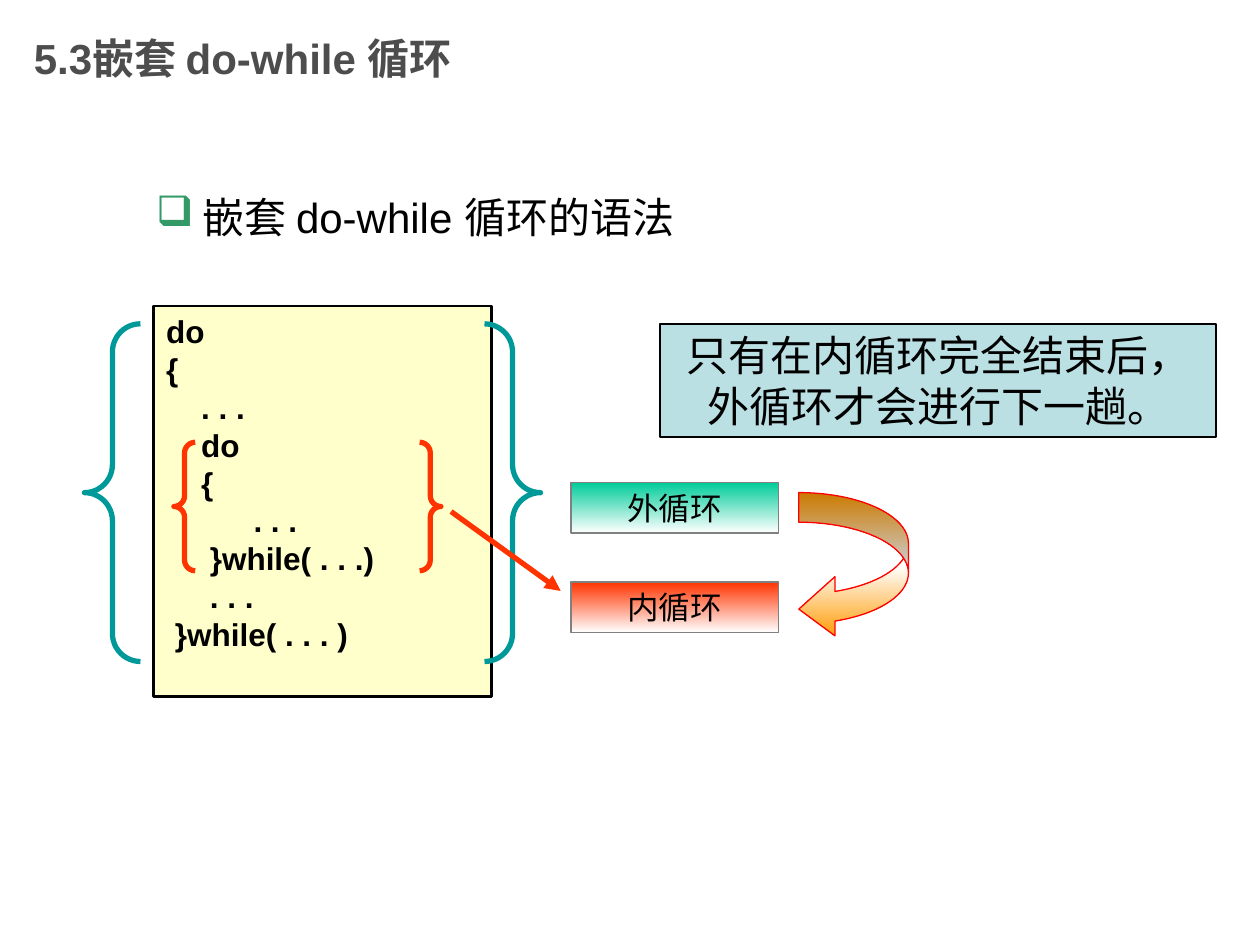
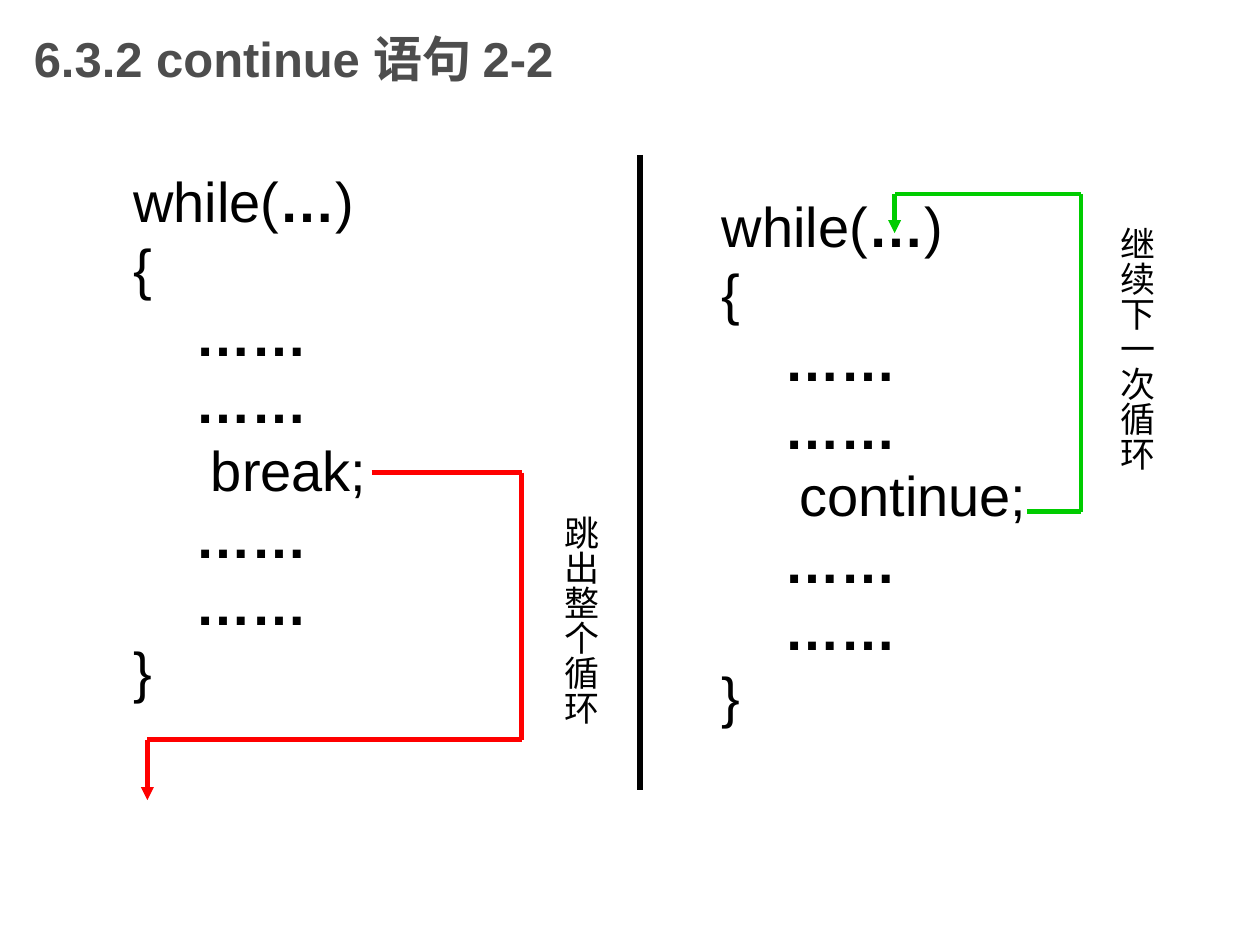
from itertools import groupby
from typing import NamedTuple, Optional, Sequence

from lxml.etree import SubElement
from pptx import Presentation
from pptx.dml.color import RGBColor
from pptx.enum.shapes import MSO_CONNECTOR, MSO_SHAPE
from pptx.enum.text import MSO_ANCHOR, PP_ALIGN
from pptx.oxml.ns import qn
from pptx.util import Inches, Pt

FONT = "Arial"
BLACK = RGBColor(0x00, 0x00, 0x00)
WHITE = RGBColor(0xFF, 0xFF, 0xFF)
TITLE_GRAY = RGBColor(0x4D, 0x4D, 0x4D)
BORDER_GRAY = RGBColor(0x80, 0x80, 0x80)
BULLET_GREEN = RGBColor(0x33, 0x99, 0x66)
CODE_YELLOW = RGBColor(0xFF, 0xFF, 0xCC)
NOTE_BLUE = RGBColor(0xBB, 0xE0, 0xE3)
TEAL = RGBColor(0x00, 0x99, 0x99)
OUTER_GREEN = RGBColor(0x00, 0xCC, 0x99)
INNER_RED = RGBColor(0xFF, 0x33, 0x00)
ORANGE = RGBColor(0xFF, 0x99, 0x00)
BREAK_RED = RGBColor(0xFF, 0x00, 0x00)
CONTINUE_GREEN = RGBColor(0x00, 0xCC, 0x00)

NESTED_CODE = """do
{
    . . .
    do
    {
          . . .
     }while( . . .)
     . . .
 }while( . . . )"""

JUMP_CODE = """while(…)
{{
    ……
    ……
     {keyword};
    ……
    ……
}}"""


class Box(NamedTuple):
    left: float
    top: float
    width: float
    height: float

    def lengths(self) -> list:
        return [Inches(value) for value in self]


class Point(NamedTuple):
    x: float
    y: float


class LoopLabel(NamedTuple):
    text: str
    top: float
    color: RGBColor


class JumpExample(NamedTuple):
    """A loop listing, the route its jump takes, and the caption beside it."""
    keyword: str
    code_box: Box
    route: Sequence[Point]
    color: RGBColor
    caption: str
    caption_box: Box


TITLE_BOX = Box(0.17, 0, 7.5, 0.92)

LOOP_LABELS = [
    LoopLabel("外循环", 3.83, OUTER_GREEN),
    LoopLabel("内循环", 4.62, INNER_RED),
]

JUMP_EXAMPLES = [
    JumpExample(
        "break", Box(0.96, 1.27, 3.01, 4.37),
        [Point(2.95, 3.75), Point(4.14, 3.75), Point(4.14, 5.87),
         Point(1.17, 5.87), Point(1.17, 6.35)],
        BREAK_RED, "跳出整个循环", Box(4.3, 3.99, 0.53, 1.97)),
    JumpExample(
        "continue", Box(5.63, 1.47, 3.01, 4.37),
        [Point(8.15, 4.06), Point(8.58, 4.06), Point(8.58, 1.54),
         Point(7.1, 1.54), Point(7.1, 1.85)],
        CONTINUE_GREEN, "继续下一次循环", Box(8.71, 1.7, 0.53, 2.28)),
]


def write_text(shape, text: str, *, size: float, color: RGBColor = BLACK,
               bold: bool = False, bold_dots: bool = False,
               align: PP_ALIGN = PP_ALIGN.LEFT,
               anchor: MSO_ANCHOR = MSO_ANCHOR.TOP,
               bullet: Optional[str] = None, vertical: bool = False) -> None:
    """Fill a shape with one paragraph a line; bold_dots sets only … in bold."""
    frame = shape.text_frame
    frame.word_wrap = True
    frame.vertical_anchor = anchor
    if vertical:
        frame._txBody.bodyPr.set("vert", "eaVert")
        frame.margin_left = frame.margin_right = Inches(0.05)
        frame.margin_top = frame.margin_bottom = Inches(0.1)
    for index, line in enumerate(text.split("\n")):
        paragraph = frame.add_paragraph() if index else frame.paragraphs[0]
        paragraph.alignment = align
        if bullet:
            add_bullet(paragraph, bullet)
        for is_dots, chars in groupby(line, key=lambda c: bold_dots and c == "…"):
            run = paragraph.add_run()
            run.text = "".join(chars)
            run.font.name = FONT
            run.font.size = Pt(size)
            run.font.bold = bold or is_dots
            run.font.color.rgb = color


def add_bullet(paragraph, char: str) -> None:
    properties = paragraph._p.get_or_add_pPr()
    properties.set("marL", str(Inches(0.37)))
    properties.set("indent", str(-Inches(0.37)))
    bullet_color = SubElement(properties, qn("a:buClr"))
    SubElement(bullet_color, qn("a:srgbClr"), val=str(BULLET_GREEN))
    SubElement(properties, qn("a:buChar"), char=char)


def add_text(slide, box: Box, text: str, **text_format) -> None:
    write_text(slide.shapes.add_textbox(*box.lengths()), text, **text_format)


def add_shape(slide, kind: MSO_SHAPE, box: Box, line: RGBColor, width: float,
              fill: Sequence[RGBColor] = (), adjustments: Sequence[float] = ()):
    """Draw a preset shape; several fill colours make a top-down gradient."""
    shape = slide.shapes.add_shape(kind, *box.lengths())
    shape.shadow.inherit = False
    shape.line.color.rgb = line
    shape.line.width = Pt(width)
    for index, value in enumerate(adjustments):
        shape.adjustments[index] = value
    if not fill:
        shape.fill.background()
    elif len(fill) == 1:
        shape.fill.solid()
        shape.fill.fore_color.rgb = fill[0]
    else:
        shape.fill.gradient()
        shape.fill.gradient_angle = 270
        stops = shape._element.spPr.find(".//" + qn("a:gsLst"))
        stops.clear()
        for index, color in enumerate(fill):
            position = 100000 * index // (len(fill) - 1)
            stop = SubElement(stops, qn("a:gs"), pos=str(position))
            SubElement(stop, qn("a:srgbClr"), val=str(color))
    return shape


def add_route(slide, points: Sequence[Point], color: RGBColor, width: float,
              arrow: bool = True) -> None:
    """Join the points with straight lines, the last one ending in an arrow."""
    for start, end in zip(points, points[1:]):
        segment = slide.shapes.add_connector(
            MSO_CONNECTOR.STRAIGHT, Inches(start.x), Inches(start.y),
            Inches(end.x), Inches(end.y))
        segment.line.color.rgb = color
        segment.line.width = Pt(width)
        SubElement(segment._element.spPr, qn("a:effectLst"))
    if arrow:
        SubElement(segment.line._get_or_add_ln(), qn("a:tailEnd"), type="triangle")


def add_titled_slide(deck, title: str, size: float):
    slide = deck.slides.add_slide(deck.slide_layouts[6])
    add_text(slide, TITLE_BOX, title, size=size, color=TITLE_GRAY, bold=True,
             anchor=MSO_ANCHOR.MIDDLE)
    return slide


def build_nested_loop_slide(deck) -> None:
    slide = add_titled_slide(deck, "5.3嵌套 do-while 循环", 24)
    add_text(slide, Box(1.14, 1.47, 6.93, 0.5), "嵌套 do-while 循环的语法",
             size=24, bullet="❑")

    code = add_shape(slide, MSO_SHAPE.RECTANGLE, Box(1.22, 2.43, 2.68, 3.1),
                     BLACK, 1.5, [CODE_YELLOW])
    write_text(code, NESTED_CODE, size=18, bold=True)

    for box, color in ((Box(0.67, 2.57, 3.62, 2.68), TEAL),
                       (Box(1.38, 3.51, 2.12, 1.02), INNER_RED)):
        add_shape(slide, MSO_SHAPE.DOUBLE_BRACE, box, color, 3,
                  adjustments=[0.083])
    add_route(slide, [Point(3.58, 4.06), Point(4.45, 4.69)], INNER_RED, 3)

    for label in LOOP_LABELS:
        shape = add_shape(slide, MSO_SHAPE.RECTANGLE,
                          Box(4.53, label.top, 1.65, 0.4),
                          BORDER_GRAY, 1, [label.color, WHITE])
        write_text(shape, label.text, size=18, align=PP_ALIGN.CENTER)

    add_shape(slide, MSO_SHAPE.CURVED_LEFT_ARROW, Box(6.34, 3.91, 0.87, 1.16),
              BREAK_RED, 0.75, [ORANGE, WHITE, ORANGE], [0.27, 0.54, 0.33])

    note = add_shape(slide, MSO_SHAPE.RECTANGLE, Box(5.24, 2.57, 4.41, 0.9),
                     BLACK, 1.25, [NOTE_BLUE])
    write_text(note, "只有在内循环完全结束后，外循环才会进行下一趟。", size=24,
               align=PP_ALIGN.CENTER)


def build_jump_slide(deck) -> None:
    slide = add_titled_slide(deck, "6.3.2 continue 语句 2-2", 28)
    add_route(slide, [Point(5.08, 1.23), Point(5.08, 6.27)], BLACK, 3, arrow=False)
    for example in JUMP_EXAMPLES:
        add_text(slide, example.code_box,
                 JUMP_CODE.format(keyword=example.keyword),
                 size=32, bold_dots=True)
        add_route(slide, example.route, example.color, 2.5)
        add_text(slide, example.caption_box, example.caption, size=20,
                 vertical=True)


def main() -> None:
    deck = Presentation()
    deck.slide_width = Inches(10)
    deck.slide_height = Inches(7.5)
    build_nested_loop_slide(deck)
    build_jump_slide(deck)
    deck.save("out.pptx")


if __name__ == "__main__":
    main()
